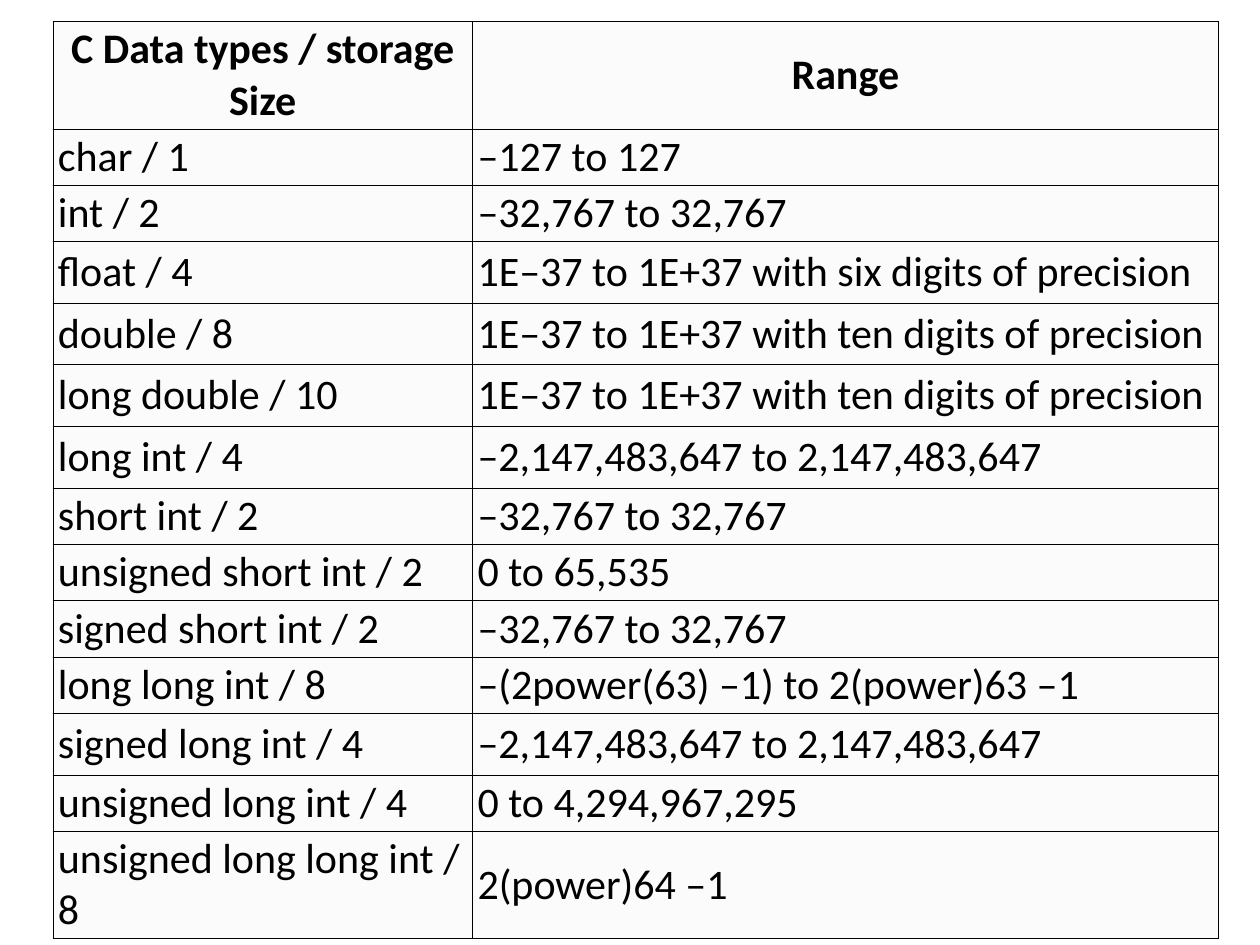
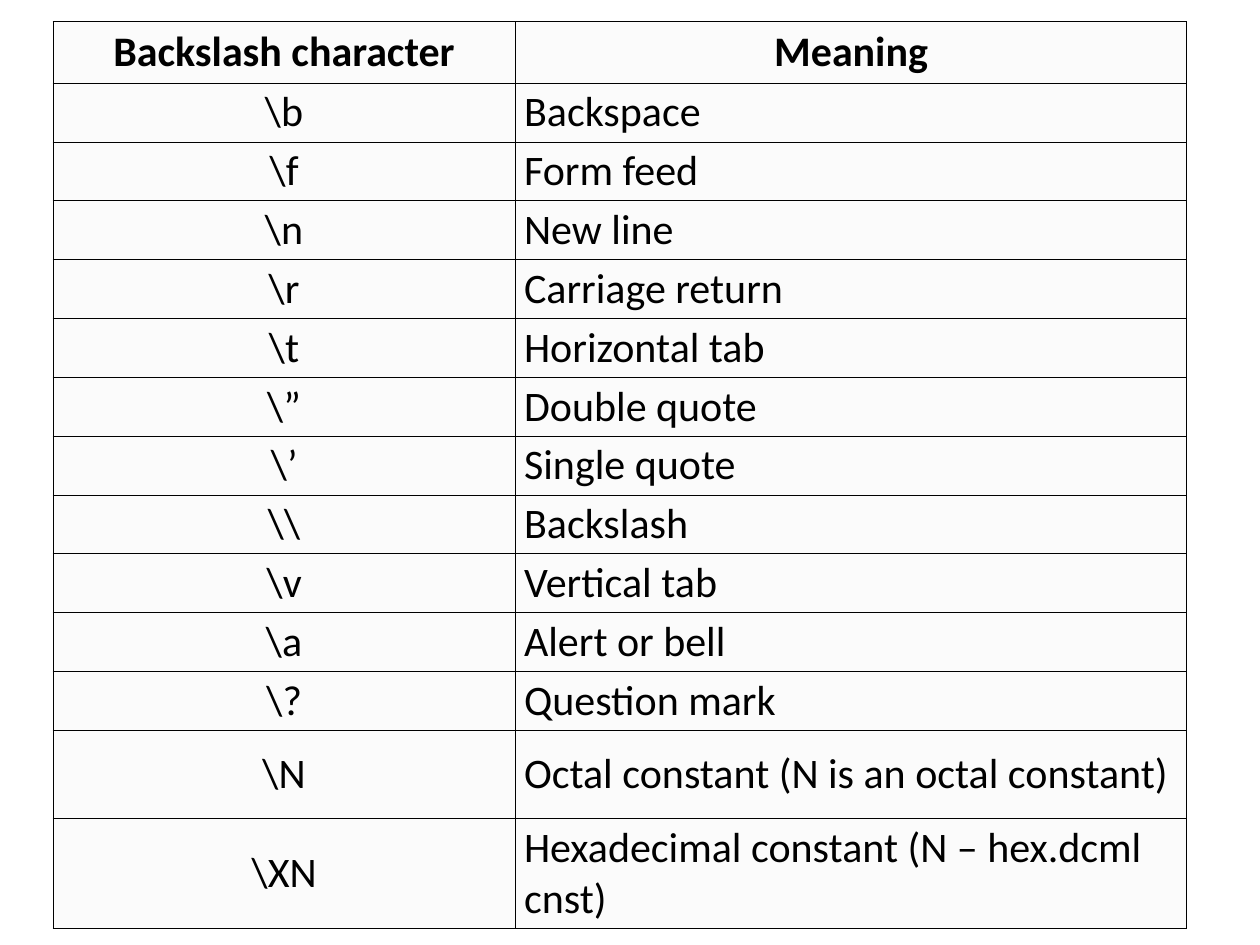
"""Build two slides of C tables: data types and backslash characters."""
import pptx
import pptx.util
import pptx.dml.color
import pptx.enum.text
import pptx.oxml
import pptx.oxml.ns

Inches = pptx.util.Inches
ALIGN = pptx.enum.text.PP_ALIGN

TYPES = [
    ("C Data types / storage Size", "Range"),
    ("char / 1", "–127 to 127"),
    ("int / 2", "–32,767 to 32,767"),
    ("float / 4", "1E–37 to 1E+37 with six digits of precision"),
    ("double / 8", "1E–37 to 1E+37 with ten digits of precision"),
    ("long double / 10", "1E–37 to 1E+37 with ten digits of precision"),
    ("long int / 4", "–2,147,483,647 to 2,147,483,647"),
    ("short int / 2", "–32,767 to 32,767"),
    ("unsigned short int / 2", "0 to 65,535"),
    ("signed short int / 2", "–32,767 to 32,767"),
    ("long long int / 8", "–(2power(63) –1) to 2(power)63 –1"),
    ("signed long int / 4", "–2,147,483,647 to 2,147,483,647"),
    ("unsigned long int / 4", "0 to 4,294,967,295"),
    ("unsigned long long int / 8", "2(power)64 –1"),
]
TYPE_ROWS = [0.38, 0.15, 0.26] + [0.49] * 4 + [0.26] * 3 + [0.38, 0.49, 0.26, 0.26]

CODES = [
    ("Backslash character", "Meaning"),
    (r"\b", "Backspace"),
    (r"\f", "Form feed"),
    (r"\n", "New line"),
    (r"\r", "Carriage return"),
    (r"\t", "Horizontal tab"),
    (r"\”", "Double quote"),
    (r"\’", "Single quote"),
    (r"\\", "Backslash"),
    (r"\v", "Vertical tab"),
    (r"\a", "Alert or bell"),
    (r"\?", "Question mark"),
    (r"\N", "Octal constant (N is an octal constant)"),
    (r"\XN", "Hexadecimal constant (N – hex.dcml cnst)"),
]
CODE_ROWS = [0.49] + [0.28] * 11 + [0.7] * 2


def shade(code):
    return pptx.dml.color.RGBColor.from_string(code)


def apply(item, values):
    for name, value in values.items():
        setattr(item, name, value)


class Deck:
    ink = "000000"
    paper = "FBFBFB"
    font = {"name": "Calibri", "size": pptx.util.Pt(24)}
    plain = {"first_row": False, "horz_banding": False}
    left, top = Inches(0.42), Inches(0.17)

    def __init__(self):
        self.show = pptx.Presentation()
        apply(self.show, {"slide_width": Inches(10), "slide_height": Inches(7.5)})

    def page(self):
        self.slide = self.show.slides.add_slide(self.show.slide_layouts[6])

    def edges(self, cell):
        props = cell._tc.get_or_add_tcPr()
        space = pptx.oxml.ns.nsdecls("a")
        for side in "LRTB":
            props.append(pptx.oxml.parse_xml(
                f'<a:ln{side} {space} w="{pptx.util.Pt(0.5)}"><a:solidFill>'
                f'<a:srgbClr val="{self.ink}"/></a:solidFill></a:ln{side}>'))

    def cell(self, cell, text, align, bold, pad):
        across, down = (Inches(size) for size in pad)
        apply(cell, {"margin_left": across, "margin_right": across,
                     "margin_top": down, "margin_bottom": down,
                     "vertical_anchor": pptx.enum.text.MSO_ANCHOR.MIDDLE})
        self.edges(cell)
        cell.fill.solid()
        cell.fill.fore_color.rgb = shade(self.paper)
        line = cell.text_frame.paragraphs[0]
        line.alignment = align
        run = line.add_run()
        run.text = text
        apply(run.font, {**self.font, "bold": bold})
        run.font.color.rgb = shade(self.ink)

    def table(self, data, widths, heights, tall, pad, aligns):
        frame = self.slide.shapes.add_table(
            len(data), len(widths), self.left, self.top,
            Inches(sum(widths)), Inches(tall))
        grid = frame.table
        apply(grid, self.plain)
        for col, width in zip(grid.columns, widths):
            col.width = Inches(width)
        for index, (row, height) in enumerate(zip(grid.rows, heights)):
            row.height = Inches(height)
            head = index == 0
            for cell, text, align in zip(row.cells, data[index], aligns):
                self.cell(cell, text, ALIGN.CENTER if head else align, head, pad)
        frame.height = Inches(tall)


def main():
    deck = Deck()
    deck.page()
    deck.table(TYPES, (3.33, 5.92), TYPE_ROWS, 7.19, (0.04, 0.02),
               (ALIGN.LEFT, ALIGN.LEFT))
    deck.page()
    deck.table(CODES, (3.67, 5.33), CODE_ROWS, 7.21, (0.07, 0.03),
               (ALIGN.CENTER, ALIGN.LEFT))
    deck.show.save("out.pptx")


if __name__ == "__main__":
    main()
